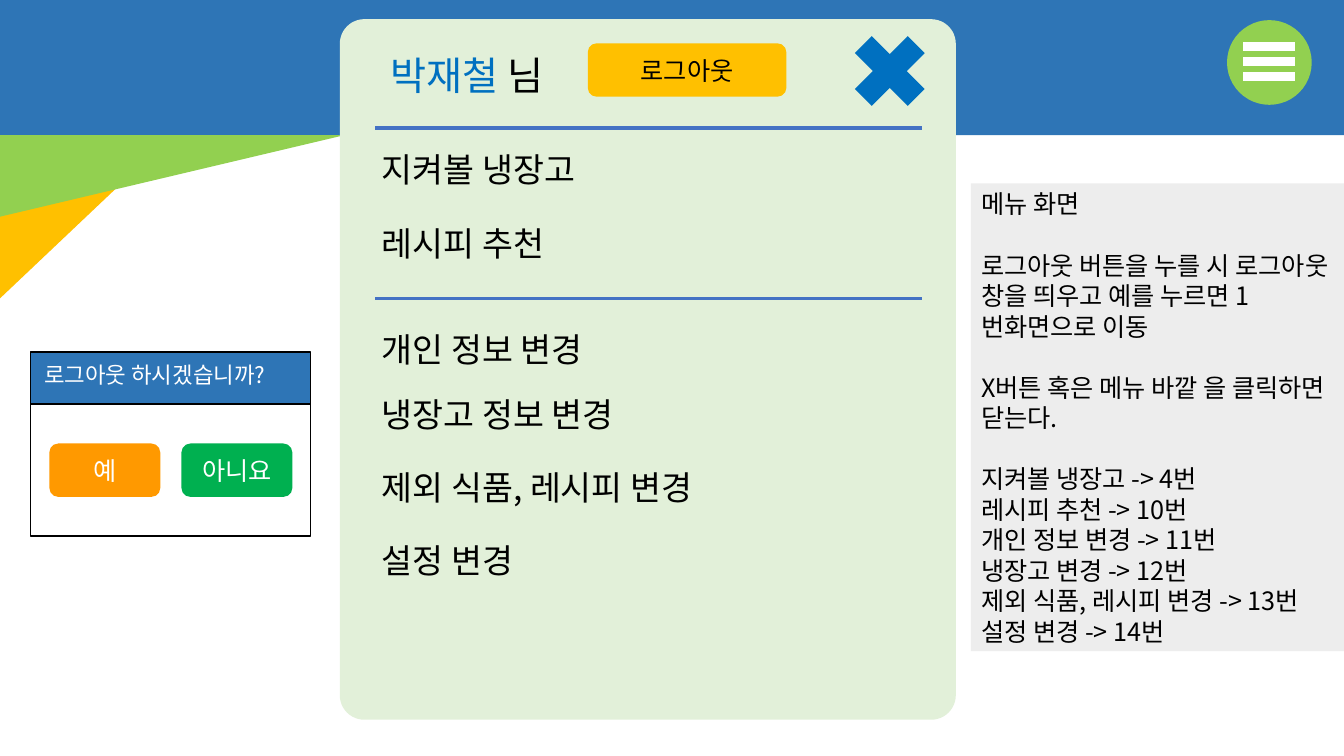
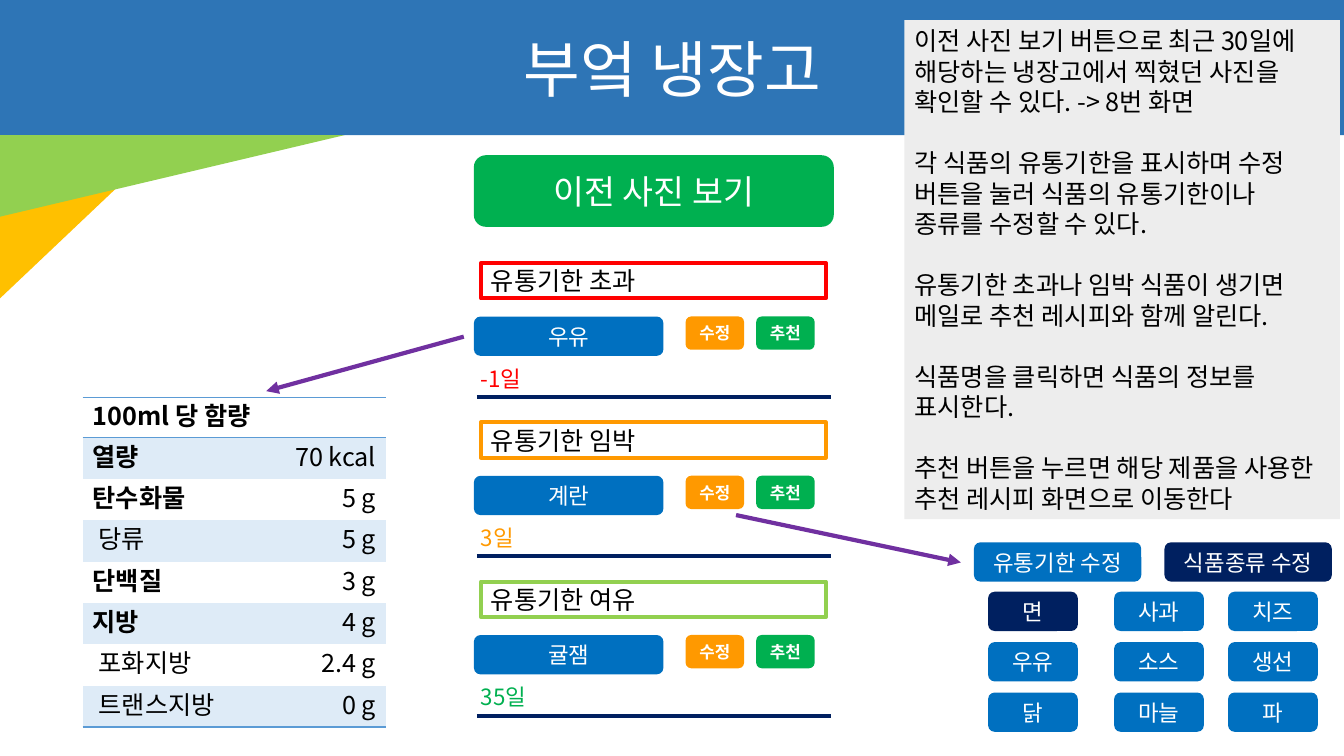
from lxml import etree
from pptx import Presentation
from pptx import util as u
from pptx.dml.color import RGBColor
from pptx.enum import shapes, text
from pptx.oxml import ns

FONT = "Noto Sans CJK KR"
LINE_HEIGHT = 1.21
PLAIN_TABLE = "{2D5ABB26-0587-4C30-8999-92F81FD0307C}"
COLORS = {
    "band": "2E75B6", "amber": "FFC000", "lime": "92D050", "orange": "FF9900",
    "green": "00B050", "blue": "0070C0", "navy": "002060", "red": "FF0000",
    "purple": "7030A0", "rule": "4472C4", "panel": "EDEDED", "menu": "E2F0D9",
    "table_line": "5B9BD5", "table_fill": "DEEBF7",
    "black": "000000", "white": "FFFFFF",
}
SHAPE = shapes.MSO_SHAPE
LEFT, CENTER, RIGHT = text.PP_ALIGN.LEFT, text.PP_ALIGN.CENTER, text.PP_ALIGN.RIGHT
TOP, MIDDLE = text.MSO_ANCHOR.TOP, text.MSO_ANCHOR.MIDDLE


def rgb(name):
    return RGBColor.from_string(COLORS[name])


def add_xml(parent, tag, **attributes):
    return etree.SubElement(parent, ns.qn(tag), **attributes)


def write(frame, paragraphs, size=18, color="black", bold=False, align=LEFT,
          anchor=TOP, gaps=()):
    """Fill a frame; a paragraph is a string or a list of (text, colour) runs.

    Paragraphs whose index is in gaps get one line of space before them.
    """
    frame.word_wrap = True
    frame.auto_size = text.MSO_AUTO_SIZE.NONE
    frame.vertical_anchor = anchor
    height = u.Pt(round(size * LINE_HEIGHT, 1))
    for index, content in enumerate(paragraphs):
        paragraph = frame.paragraphs[0] if index == 0 else frame.add_paragraph()
        properties = paragraph._p.get_or_add_pPr()
        properties.set("marL", "0")
        properties.set("indent", "0")
        add_xml(properties, "a:buNone")
        paragraph.alignment = align
        paragraph.line_spacing = height
        paragraph.space_before = height if index in gaps else u.Pt(0)
        runs = [(content, color)] if isinstance(content, str) else content
        for words, run_color in runs:
            run = paragraph.add_run()
            run.text = words
            run.font.size = u.Pt(size)
            run.font.bold = bold
            run.font.name = FONT
            run.font.color.rgb = rgb(run_color)
            add_xml(run._r.get_or_add_rPr(), "a:ea", typeface=FONT)


class Deck:
    def __init__(self):
        self.presentation = Presentation()
        self.presentation.slide_width = u.Inches(13.33)
        self.presentation.slide_height = u.Inches(7.5)
        self.slide = None

    def new_slide(self):
        """Start a slide with the band, corner triangles and menu circle."""
        layout = self.presentation.slide_layouts[1]
        self.slide = self.presentation.slides.add_slide(layout)
        self.shape(SHAPE.RECTANGLE, 0, 0, 13.33, 1.34, "band")
        for width, height, color in ((1.71, 1.62, "amber"), (3.42, 0.81, "lime")):
            triangle = self.shape(SHAPE.RIGHT_TRIANGLE, 0, 1.34, width, height, color)
            triangle._element.spPr.xfrm.set("flipV", "1")
        self.shape(SHAPE.OVAL, 12.17, 0.2, 0.84, 0.84, "lime")

    def shape(self, kind, left, top, width, height, fill, line=None, line_width=1):
        shape = self.slide.shapes.add_shape(kind, *map(u.Inches, (left, top, width, height)))
        shape.shadow.inherit = False
        shape.fill.solid()
        shape.fill.fore_color.rgb = rgb(fill)
        if line:
            shape.line.color.rgb = rgb(line)
            shape.line.width = u.Pt(line_width)
        else:
            shape.line.fill.background()
        return shape

    def button(self, label, left, top, width, height, fill, size=16, color="white",
               bold=False):
        shape = self.shape(SHAPE.ROUNDED_RECTANGLE, left, top, width, height, fill)
        frame = shape.text_frame
        frame.margin_left = frame.margin_right = u.Inches(0.02)
        frame.margin_top = frame.margin_bottom = 0
        write(frame, [label], size, color, bold, CENTER, MIDDLE)

    def label(self, words, left, top, width, height, **style):
        box = self.slide.shapes.add_textbox(*map(u.Inches, (left, top, width, height)))
        write(box.text_frame, [words], **style)

    def line(self, start, end, color, width, arrow=False):
        connector = self.slide.shapes.add_connector(
            shapes.MSO_CONNECTOR.STRAIGHT, *map(u.Inches, (*start, *end)))
        connector.line.color.rgb = rgb(color)
        connector.line.width = u.Pt(width)
        if arrow:
            add_xml(connector.line._get_or_add_ln(), "a:tailEnd", type="triangle")
        add_xml(connector._element.spPr, "a:effectLst")

    def placeholder(self, index, left, top, width, height):
        """Move a template placeholder and bring it to the front."""
        shape = self.slide.placeholders[index]
        shape.left, shape.top, shape.width, shape.height = map(
            u.Inches, (left, top, width, height))
        element = shape._element
        element.getparent().append(element)
        return shape

    def title(self, content, left, top, width, height, **style):
        write(self.placeholder(0, left, top, width, height).text_frame, [content], **style)

    def description(self, groups, left, top, width, height):
        """Grey panel whose groups of paragraphs are one line apart."""
        panel = self.placeholder(1, left, top, width, height)
        panel.fill.solid()
        panel.fill.fore_color.rgb = rgb("panel")
        starts = [sum(map(len, groups[:i])) for i in range(1, len(groups))]
        write(panel.text_frame, sum(groups, []), gaps=starts)

    def nutrition_table(self, heading, rows, left, top, widths, heights):
        frame = self.slide.shapes.add_table(
            len(rows) + 1, 2, u.Inches(left), u.Inches(top),
            u.Inches(sum(widths)), u.Inches(sum(heights)))
        table = frame.table
        table.first_row = table.horz_banding = False
        table._tbl.tblPr.find(ns.qn("a:tableStyleId")).text = PLAIN_TABLE
        for column, width in zip(table.columns, widths):
            column.width = u.Inches(width)
        for row, height in zip(table.rows, heights):
            row.height = u.Inches(height)
        table.cell(0, 0).merge(table.cell(0, 1))
        write(table.cell(0, 0).text_frame, [heading], bold=True)
        for number, (name, amount, is_main) in enumerate(rows, 1):
            name_cell, amount_cell = table.cell(number, 0), table.cell(number, 1)
            write(name_cell.text_frame, [name], bold=is_main)
            write(amount_cell.text_frame, [amount], align=RIGHT)
            if not is_main:
                name_cell.margin_left = u.Inches(0.16)
        for number in range(len(rows) + 1):
            for column in range(2):
                cell = table.cell(number, column)
                cell.vertical_anchor = TOP
                if number % 2:
                    cell.fill.solid()
                    cell.fill.fore_color.rgb = rgb("table_fill")
                else:
                    cell.fill.background()
                if number in (0, len(rows)):
                    self.cell_border(cell, "a:lnB")
                if number == 0:
                    self.cell_border(cell, "a:lnT")

    @staticmethod
    def cell_border(cell, side):
        properties = cell._tc.get_or_add_tcPr()
        border = etree.Element(ns.qn(side), w=str(int(u.Pt(1))))
        fill = add_xml(border, "a:solidFill")
        add_xml(fill, "a:srgbClr", val=COLORS["table_line"])
        properties.insert(0, border)


def menu_slide(deck):
    deck.new_slide()
    deck.description([
        ["메뉴 화면"],
        ["로그아웃 버튼을 누를 시 로그아웃 창을 띄우고 예를 누르면 1번화면으로 이동"],
        ["X버튼 혹은 메뉴 바깥 을 클릭하면 닫는다."],
        ["지켜볼 냉장고 -> 4번", "레시피 추천 -> 10번", "개인 정보 변경 -> 11번",
         "냉장고 변경 -> 12번", "제외 식품, 레시피 변경 -> 13번", "설정 변경 -> 14번"],
    ], 9.63, 1.82, 3.81, 4.64)
    for bar in range(3):
        deck.shape(SHAPE.MATH_MINUS, 12.23, 0.26 + 0.15 * bar, 0.71, 0.4, "white")

    deck.shape(SHAPE.RECTANGLE, 0.3, 3.49, 2.78, 0.52, "band", "black")
    deck.label("로그아웃 하시겠습니까?", 0.34, 3.53, 2.73, 0.31, size=16, color="white")
    deck.shape(SHAPE.RECTANGLE, 0.3, 4.01, 2.78, 1.31, "white", "black")
    deck.button("예", 0.49, 4.4, 1.1, 0.53, "orange", 18)
    deck.button("아니요", 1.8, 4.4, 1.1, 0.53, "green", 18)

    menu = deck.shape(SHAPE.ROUNDED_RECTANGLE, 3.37, 0.19, 6.11, 6.95, "menu")
    menu.adjustments[0] = 0.04
    deck.title([("박재철", "blue"), (" 님", "black")], 3.77, 0.46, 2.28, 0.57, size=28)
    deck.button("로그아웃", 5.83, 0.43, 1.97, 0.53, "amber", 18, "black")
    deck.shape(SHAPE.MATH_MULTIPLY, 8.32, 0.2, 1.01, 1.01, "blue")
    for y in (1.27, 2.96):
        deck.line((3.72, y), (9.14, y), "rule", 2.25)
    for item, top in (("지켜볼 냉장고", 1.43), ("레시피 추천", 2.16),
                      ("개인 정보 변경", 3.21), ("냉장고 정보 변경", 3.86),
                      ("제외 식품, 레시피 변경", 4.58), ("설정 변경", 5.3)):
        deck.label(item, 3.69, top, 5.54, 0.5, size=24)


def fridge_slide(deck):
    deck.new_slide()
    deck.title("부엌 냉장고", 4.29, 0.25, 4.76, 0.84, size=44, color="white", align=CENTER)
    deck.description([
        ["이전 사진 보기 버튼으로 최근 30일에 해당하는 냉장고에서 찍혔던 사진을 "
         "확인할 수 있다. -> 8번 화면"],
        ["각 식품의 유통기한을 표시하며 수정 버튼을 눌러 식품의 유통기한이나 "
         "종류를 수정할 수 있다."],
        ["유통기한 초과나 임박 식품이 생기면 메일로 추천 레시피와 함께 알린다."],
        ["식품명을 클릭하면 식품의 정보를 표시한다."],
        ["추천 버튼을 누르면 해당 제품을 사용한 추천 레시피 화면으로 이동한다"],
    ], 8.97, 0.2, 4.32, 4.95)
    deck.button("이전 사진 보기", 4.7, 1.54, 3.57, 0.71, "green", 24)

    sections = (("유통기한 초과", "red", "우유", "-1일", "red"),
                ("유통기한 임박", "orange", "계란", "3일", "orange"),
                ("유통기한 여유", "lime", "귤잼", "35일", "green"))
    for index, (heading, frame_color, food, days, days_color) in enumerate(sections):
        top = 3.14 + 1.58 * index
        box = deck.shape(SHAPE.RECTANGLE, 4.77, top - 0.53, 3.42, 0.35, "white",
                         frame_color, 3)
        write(box.text_frame, [heading], anchor=MIDDLE)
        deck.button(food, 4.7, top, 1.88, 0.39, "blue")
        deck.button("수정", 6.8, top, 0.58, 0.33, "orange", 12, bold=True)
        deck.button("추천", 7.5, top, 0.58, 0.33, "green", 12, bold=True)
        deck.label(days, 4.67, top + 0.43, 0.8, 0.37, size=16, color=days_color)
        deck.line((4.73, top + 0.8), (8.24, top + 0.8), "navy", 3)

    deck.button("유통기한 수정", 9.66, 5.38, 1.66, 0.39, "blue")
    deck.button("식품종류 수정", 11.55, 5.38, 1.66, 0.39, "navy")
    foods = (("면", "사과", "치즈"), ("우유", "소스", "생선"), ("닭", "마늘", "파"))
    for row, names in enumerate(foods):
        for left, name in zip((9.8, 11.05, 12.18), names):
            fill = "navy" if name == "면" else "blue"
            deck.button(name, left, 5.87 + 0.5 * row, 0.89, 0.39, fill)

    deck.nutrition_table("100ml 당 함량", [
        ("열량", "70 kcal", True), ("탄수화물", "5 g", True), ("당류", "5 g", False),
        ("단백질", "3 g", True), ("지방", "4 g", True), ("포화지방", "2.4 g", False),
        ("트랜스지방", "0 g", False),
    ], 0.82, 3.94, (1.75, 1.26), [0.39] + [0.41] * 7)
    deck.line((7.3, 5.11), (9.53, 5.58), "purple", 3, arrow=True)
    deck.line((4.6, 3.34), (2.64, 3.88), "purple", 3, arrow=True)


def main():
    deck = Deck()
    menu_slide(deck)
    fridge_slide(deck)
    deck.presentation.save("out.pptx")


if __name__ == "__main__":
    main()
